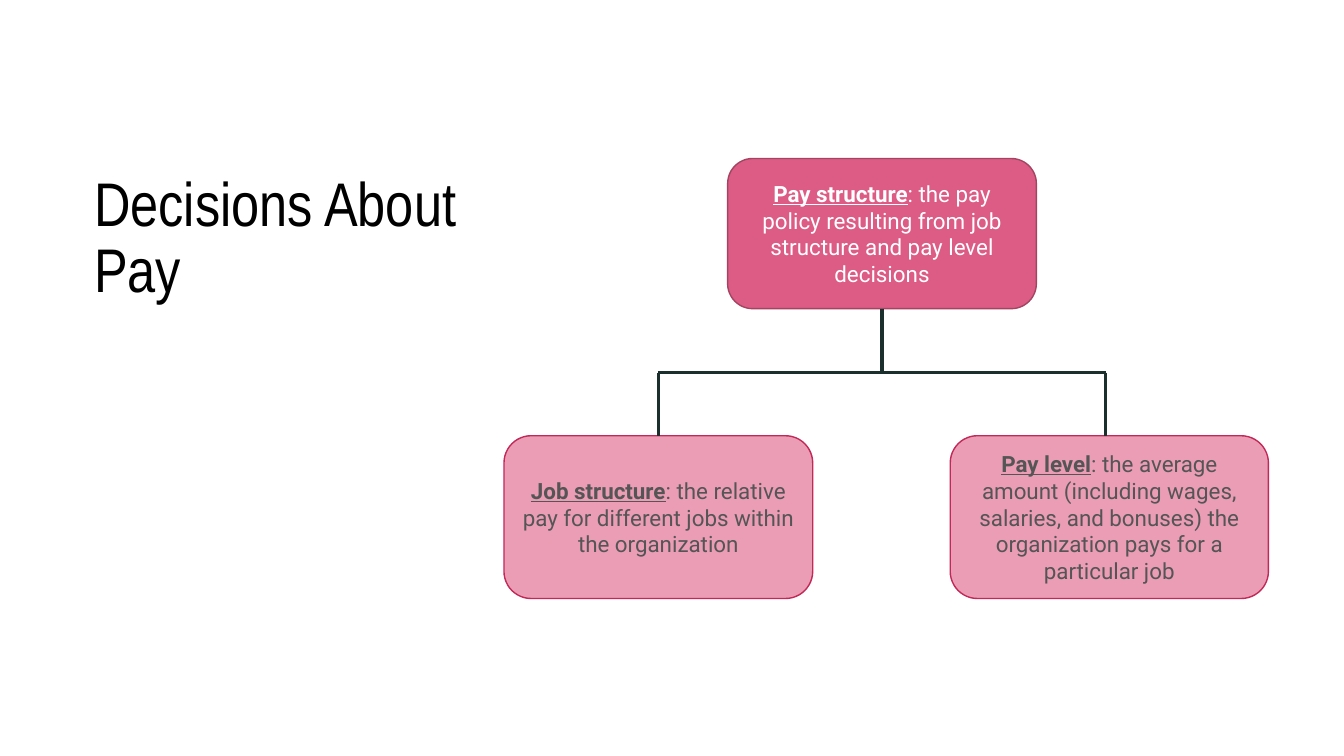
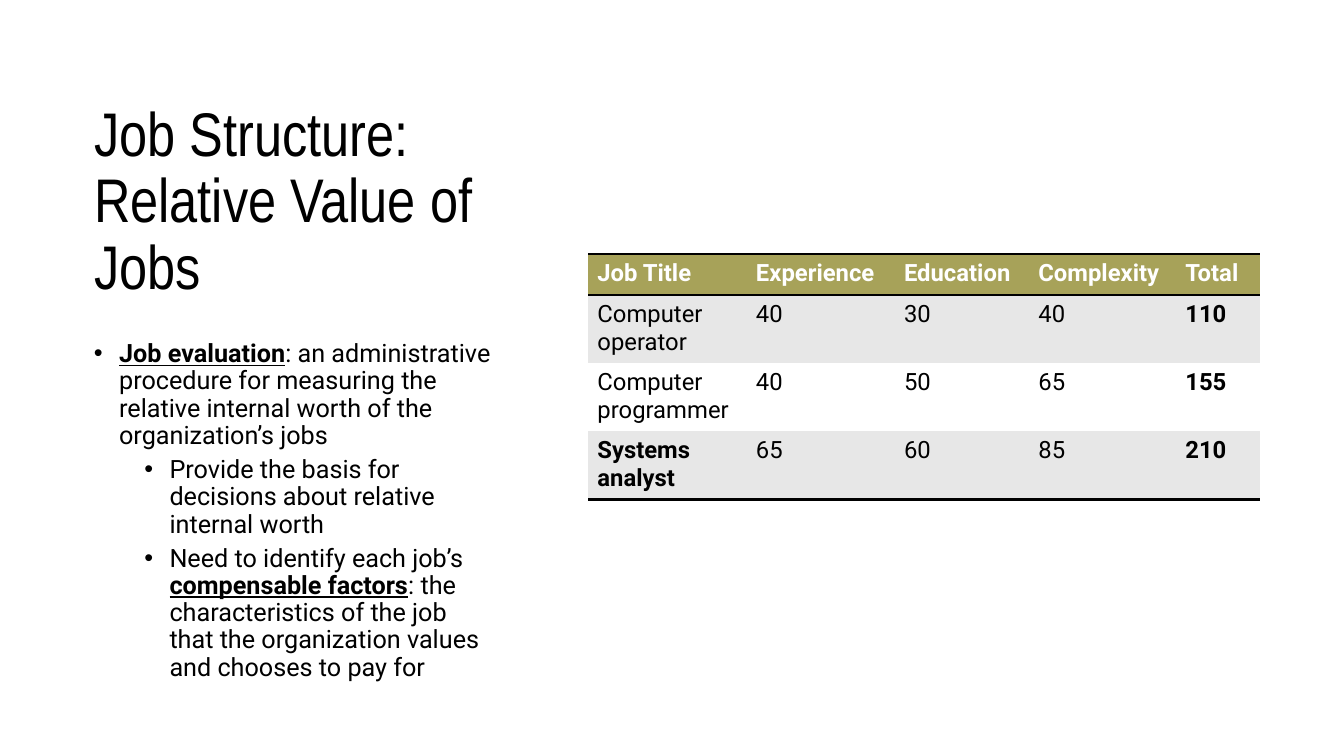
import lxml.etree
import pptx
import pptx.dml.color
import pptx.enum.shapes
import pptx.enum.text
import pptx.oxml.ns
import pptx.util

PX = 9525
COLORS = {
    "black": "000000",
    "white": "FFFFFF",
    "rose": "DD5C85",
    "rose_edge": "A34462",
    "pink": "EB9DB6",
    "pink_edge": "C22959",
    "gray_text": "555555",
    "tree": "1B2F2C",
    "olive": "A7A259",
    "band": "E7E7E7",
}
TITLE_FONT = "Arial Narrow"
BODY_FONT = "Roboto"
ANCHOR = pptx.enum.text.MSO_ANCHOR
ALIGN = pptx.enum.text.PP_ALIGN


def rgb(name):
    return pptx.dml.color.RGBColor.from_string(COLORS[name])


def add_xml(parent, tag, **attributes):
    return lxml.etree.SubElement(parent, pptx.oxml.ns.qn(tag), attributes)


class Deck:
    def __init__(self):
        self.file = pptx.Presentation()
        self.file.slide_width = 1280 * PX
        self.file.slide_height = 720 * PX
        self.slide = None

    def style_run(self, run, size, color, bold=False, underline=False, font=BODY_FONT):
        run.font.name = font
        run.font.size = pptx.util.Pt(size)
        run.font.bold = bold
        run.font.underline = underline
        run.font.color.rgb = rgb(color)

    def add_marked_text(self, paragraph, marked_text, size, color):
        for index, part in enumerate(marked_text.split("*")):
            if part:
                run = paragraph.add_run()
                run.text = part
                key_term = index % 2 == 1
                self.style_run(run, size, color, key_term, key_term)

    def add_slide(self, title, top, height, anchor):
        self.slide = self.file.slides.add_slide(self.file.slide_layouts[5])
        heading = self.slide.shapes.title
        heading.left, heading.top = 80 * PX, top * PX
        heading.width, heading.height = 400 * PX, height * PX
        frame = heading.text_frame
        frame.text = title
        frame.word_wrap = True
        frame.auto_size = pptx.enum.text.MSO_AUTO_SIZE.NONE
        frame.vertical_anchor = anchor
        paragraph = frame.paragraphs[0]
        paragraph.alignment = ALIGN.LEFT
        paragraph.line_spacing = 0.9
        self.style_run(paragraph.runs[0], 44, "black", font=TITLE_FONT)

    def card(self, x, y, width, height, text, fill, edge, color):
        card = self.slide.shapes.add_shape(
            pptx.enum.shapes.MSO_SHAPE.ROUNDED_RECTANGLE,
            x * PX, y * PX, width * PX, height * PX)
        card.shadow.inherit = False
        card.fill.solid()
        card.fill.fore_color.rgb = rgb(fill)
        card.line.color.rgb = rgb(edge)
        card.line.width = pptx.util.Pt(1)
        card.text_frame.word_wrap = True
        card.text_frame.vertical_anchor = ANCHOR.MIDDLE
        paragraph = card.text_frame.paragraphs[0]
        paragraph.alignment = ALIGN.CENTER
        self.add_marked_text(paragraph, text, 16, color)
        return card

    def line(self, x1, y1, x2, y2):
        line = self.slide.shapes.add_connector(
            pptx.enum.shapes.MSO_CONNECTOR.STRAIGHT,
            x1 * PX, y1 * PX, x2 * PX, y2 * PX)
        line.line.color.rgb = rgb("tree")
        line.line.width = pptx.util.Pt(2.5)
        add_xml(line._element.spPr, "a:effectLst")
        return line

    def bullets(self, x, y, width, height, items):
        frame = self.slide.shapes.add_textbox(
            x * PX, y * PX, width * PX, height * PX).text_frame
        frame.word_wrap = True
        for index, (level, text) in enumerate(items):
            paragraph = frame.add_paragraph() if index else frame.paragraphs[0]
            paragraph.level = level
            paragraph.line_spacing = 0.9
            if index:
                paragraph.space_before = pptx.util.Pt(5)
            properties = paragraph._p.get_or_add_pPr()
            properties.set("marL", str((24 + 48 * level) * PX))
            properties.set("indent", str(-24 * PX))
            add_xml(properties, "a:buFont", typeface="Arial")
            add_xml(properties, "a:buChar", char="•")
            self.add_marked_text(paragraph, text, 18, "black")

    def border(self, cell, side, ruled):
        edge = add_xml(cell._tc.get_or_add_tcPr(), "a:ln" + side,
                       w=str(pptx.util.Pt(2) if ruled else 0))
        if ruled:
            add_xml(add_xml(edge, "a:solidFill"), "a:srgbClr", val=COLORS["black"])
        else:
            add_xml(edge, "a:noFill")

    def table(self, x, y, widths, heights, rows, bold_cells):
        table = self.slide.shapes.add_table(
            len(rows), len(widths), x * PX, y * PX,
            sum(widths) * PX, sum(heights) * PX).table
        table.horz_banding = False
        for column, width in zip(table.columns, widths):
            column.width = width * PX
        for row, height in zip(table.rows, heights):
            row.height = height * PX
        ruled_edges = (0, 1, len(rows))
        for r, values in enumerate(rows):
            fill = "olive" if r == 0 else "band" if r % 2 else "white"
            for c, value in enumerate(values):
                cell = table.cell(r, c)
                cell.text = value
                cell.margin_left = cell.margin_right = 9 * PX
                cell.margin_top = cell.margin_bottom = 5 * PX
                for side in "LR":
                    self.border(cell, side, False)
                self.border(cell, "T", r in ruled_edges)
                self.border(cell, "B", r + 1 in ruled_edges)
                cell.fill.solid()
                cell.fill.fore_color.rgb = rgb(fill)
                self.style_run(cell.text_frame.paragraphs[0].runs[0], 17,
                               "black" if r else "white",
                               r == 0 or (r, c) in bold_cells)


def pay_decisions(deck):
    deck.add_slide("Decisions About Pay", 160, 400, ANCHOR.TOP)
    pay_structure = deck.card(
        693, 151, 294, 143,
        "*Pay structure*: the pay policy resulting from job structure and pay level decisions",
        "rose", "rose_edge", "white")
    job_structure = deck.card(
        480, 415, 294, 155,
        "*Job structure*: the relative pay for different jobs within the organization",
        "pink", "pink_edge", "gray_text")
    deck.card(
        905, 415, 303, 155,
        "*Pay level*: the average amount (including wages, salaries, and bonuses) "
        "the organization pays for a particular job",
        "pink", "pink_edge", "gray_text")
    trunk_x, job_x, level_x, branch_y = 840, 627, 1053, 355
    trunk = deck.line(trunk_x, 294, trunk_x, branch_y)
    trunk.begin_connect(pay_structure, 2)
    for branch_x in (job_x, level_x):
        deck.line(trunk_x, branch_y, branch_x, branch_y)
    job_drop = deck.line(job_x, branch_y, job_x, 415)
    job_drop.end_connect(job_structure, 0)
    deck.line(level_x, branch_y, level_x, 415)


def job_values(deck):
    deck.add_slide("Job Structure: Relative Value of Jobs", 80, 213, ANCHOR.BOTTOM)
    deck.bullets(80, 320, 400, 320, [
        (0, "*Job evaluation*: an administrative procedure for measuring the relative "
            "internal worth of the organization’s jobs"),
        (1, "Provide the basis for decisions about relative internal worth"),
        (1, "Need to identify each job’s *compensable factors*: the characteristics "
            "of the job that the organization values and chooses to pay for"),
    ])
    deck.table(560, 242, [151, 141, 128, 140, 80], [39, 65, 65, 65], [
        ["Job Title", "Experience", "Education", "Complexity", "Total"],
        ["Computer operator", "40", "30", "40", "110"],
        ["Computer programmer", "40", "50", "65", "155"],
        ["Systems analyst", "65", "60", "85", "210"],
    ], {(1, 4), (2, 4), (3, 4), (3, 0)})


def main():
    deck = Deck()
    pay_decisions(deck)
    job_values(deck)
    deck.file.save("out.pptx")


if __name__ == "__main__":
    main()
